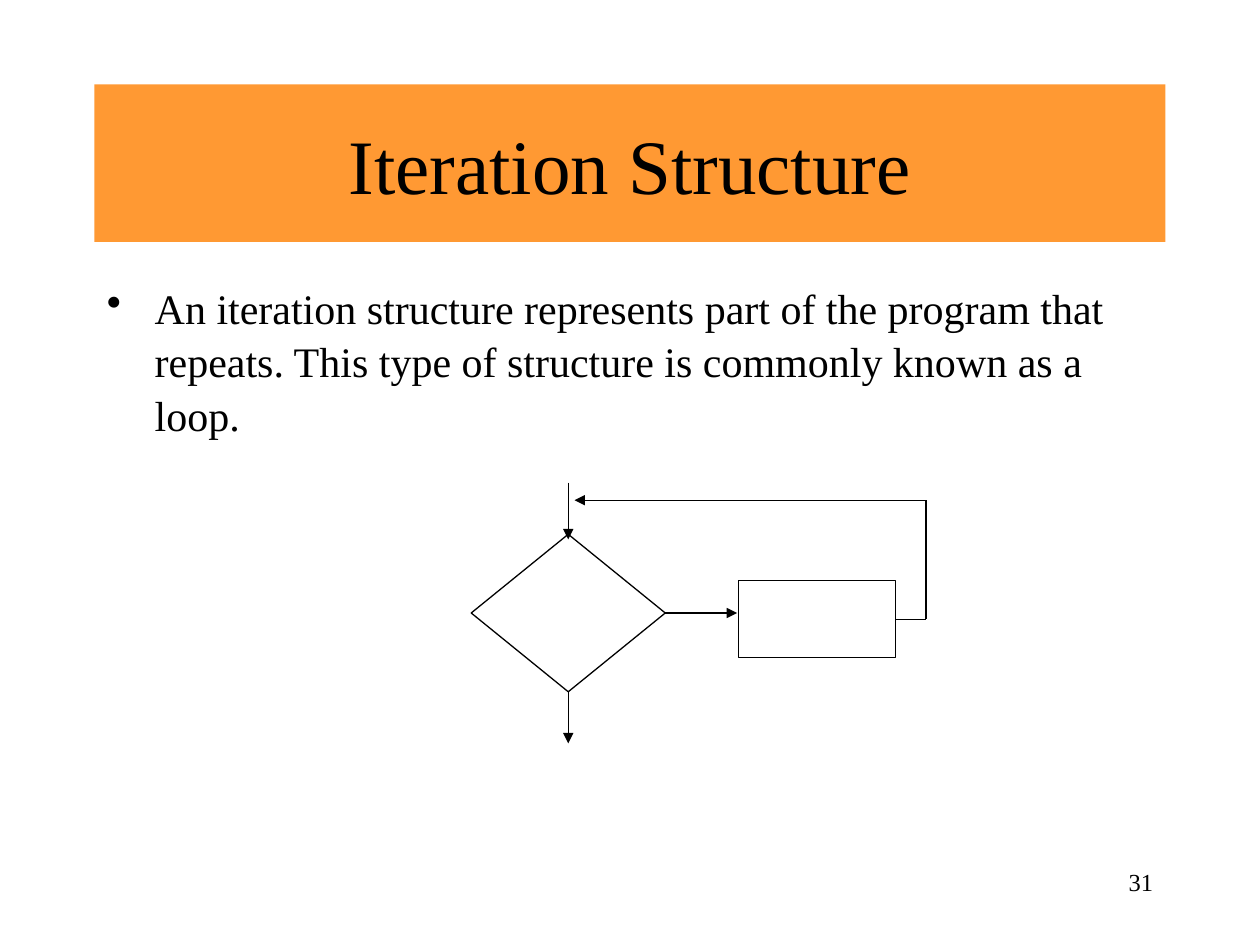
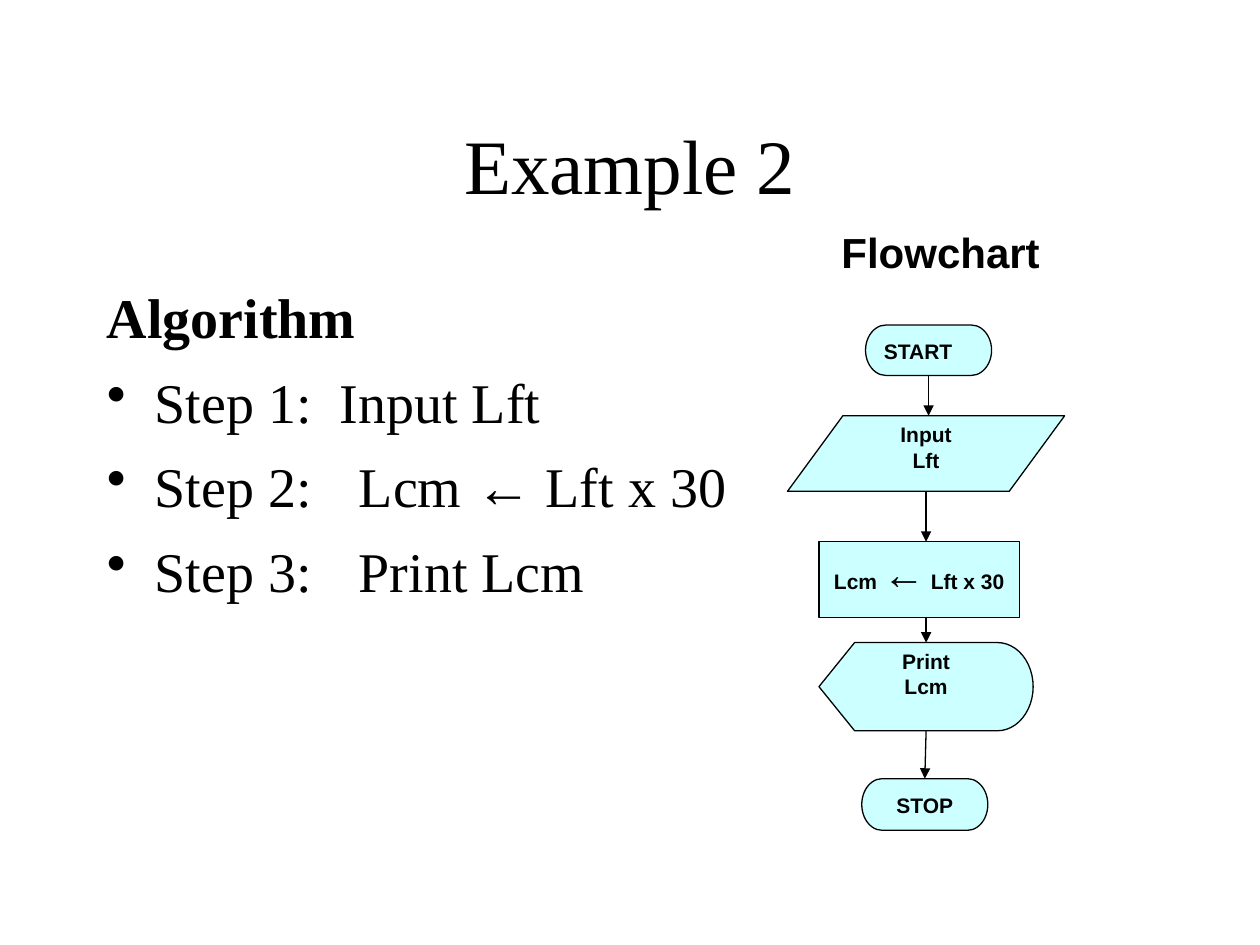
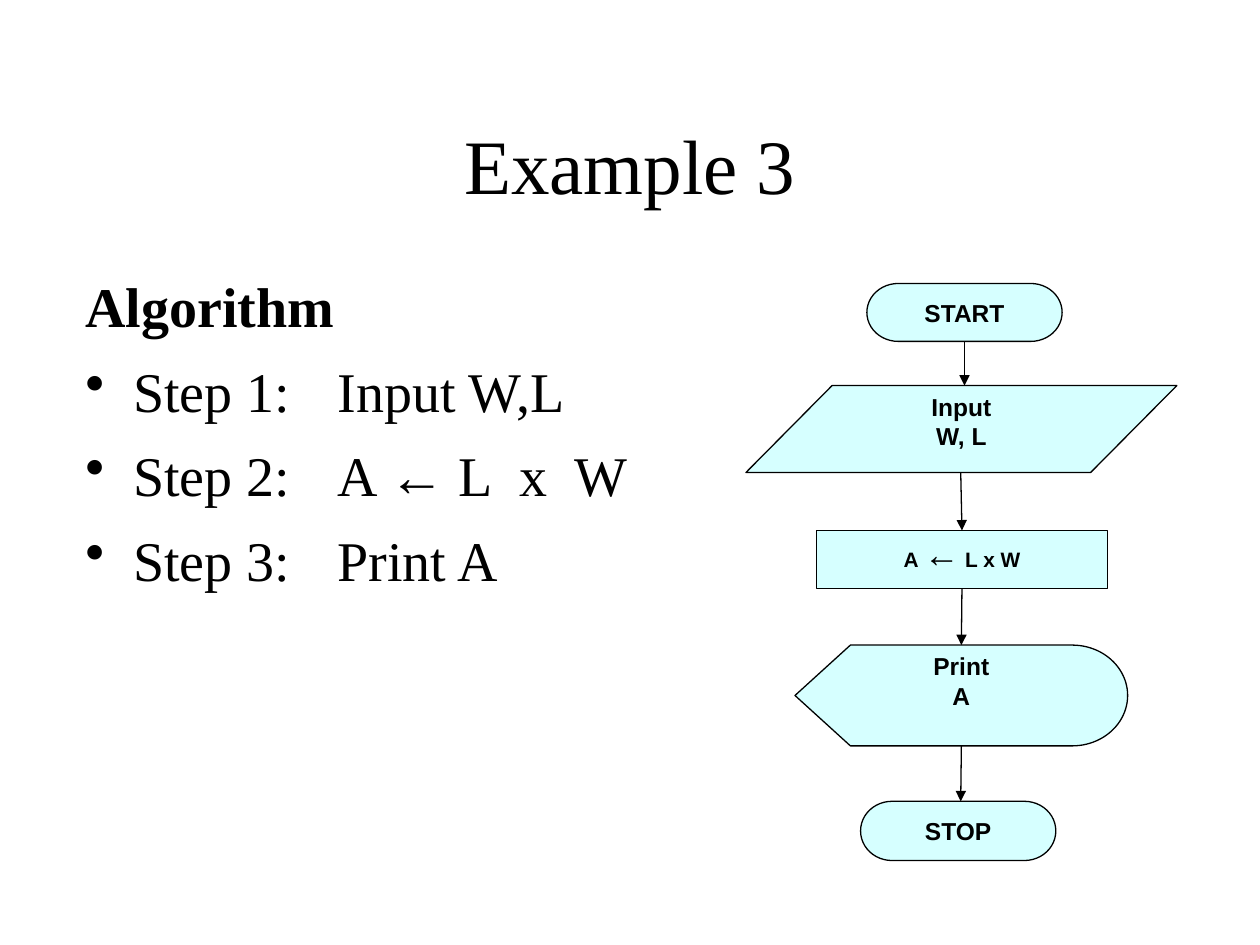
from dataclasses import dataclass, replace

from lxml.etree import SubElement
from pptx import Presentation
from pptx.dml.color import RGBColor
from pptx.enum.shapes import MSO_CONNECTOR, MSO_SHAPE
from pptx.enum.text import MSO_ANCHOR, PP_ALIGN
from pptx.oxml.ns import qn
from pptx.util import Emu, Inches, Pt

COLUMNS, ROWS = 100, 75
TOP, LEFT, BOTTOM, RIGHT = range(4)
SNAP = 0.2  # columns within which a connector counts as centred on a node


@dataclass(frozen=True)
class Style:
    font: str
    size: float
    bold: bool = False


@dataclass(frozen=True)
class Theme:
    ink: RGBColor = RGBColor(0, 0, 0)
    band: RGBColor = RGBColor(0xFF, 0x99, 0x33)
    node: RGBColor = RGBColor(0xCC, 0xFF, 0xFF)
    line_width: float = 0.75
    title: Style = Style("Times New Roman", 44)
    body: Style = Style("Times New Roman", 24)
    step: Style = Style("Times New Roman", 32)
    number: Style = Style("Times New Roman", 14)
    heading: Style = Style("Arial", 24, True)
    label: Style = Style("Arial", 12, True)
    large_label: Style = Style("Arial", 14, True)
    tight_label: Style = Style("Arial", 11.9, True)
    arrow: Style = Style("Arial", 24)
    tight_arrow: Style = Style("Arial", 20.4)


class Page:
    """Draws on the current slide; lengths are columns and rows of the grid."""

    def __init__(self, deck, theme):
        self.deck, self.theme, self.slide = deck, theme, None
        self.column = deck.slide_width / COLUMNS
        self.row = deck.slide_height / ROWS

    def start(self, title, band=False):
        self.slide = self.deck.slides.add_slide(self.deck.slide_layouts[6])
        box = self.text_box((7.5, 6.7, 85, 12.5), [[(title, self.theme.title)]], PP_ALIGN.CENTER)
        box.text_frame.vertical_anchor = MSO_ANCHOR.MIDDLE
        if band:
            box.fill.solid()
            box.fill.fore_color.rgb = self.theme.band

    def place(self, left, top, width, height):
        return (Emu(round(left * self.column)), Emu(round(top * self.row)),
                Emu(round(width * self.column)), Emu(round(height * self.row)))

    def add_lines(self, frame, lines, align):
        """Fill a frame; each line is a list of (text, style) spans."""
        frame.word_wrap = True
        for index, spans in enumerate(lines):
            para = frame.add_paragraph() if index else frame.paragraphs[0]
            para.alignment = align
            for text, style in spans:
                span = para.add_run()
                span.text = text
                span.font.name, span.font.size = style.font, Pt(style.size)
                span.font.bold = style.bold
                span.font.color.rgb = self.theme.ink

    def text_box(self, area, lines, align=PP_ALIGN.LEFT):
        box = self.slide.shapes.add_textbox(*self.place(*area))
        self.add_lines(box.text_frame, lines, align)
        return box

    def body(self, area, lines, plain=0, line_spacing=1.05):
        """Add a hanging list whose first `plain` lines have no bullet."""
        box = self.text_box(area, lines)
        for index, para in enumerate(box.text_frame.paragraphs):
            para.line_spacing = line_spacing
            if index:
                para.space_before = Pt(8)
            properties = para._p.get_or_add_pPr()
            properties.set("marL", str(Inches(0.38)))
            properties.set("indent", str(-Inches(0.38)))
            if index >= plain:
                SubElement(properties, qn("a:buChar"), char="•")
            tabs = SubElement(properties, qn("a:tabLst"))
            SubElement(tabs, qn("a:tab"), pos=str(Inches(2)), algn="l")

    def algorithm(self, area, steps):
        style = self.theme.step
        lines = [[("Algorithm", replace(style, bold=True))]]
        for step in steps:
            before, arrow, after = step.partition("←")
            spans = [(before, style), (arrow, replace(style, font="Arial")), (after, style)]
            lines.append([span for span in spans if span[0]])
        self.body(area, lines, plain=1)

    def node(self, kind, area, lines=(), opacity=None, align=PP_ALIGN.CENTER):
        """Draw an outlined shape, filled only when an opacity is given."""
        shape = self.slide.shapes.add_shape(kind, *self.place(*area))
        shape.shadow.inherit = False
        shape.line.color.rgb = self.theme.ink
        shape.line.width = Pt(self.theme.line_width)
        if opacity is None:
            shape.fill.background()
        else:
            shape.fill.solid()
            shape.fill.fore_color.rgb = self.theme.node
            if opacity < 100:
                color = shape._element.spPr.find(qn("a:solidFill"))[0]
                SubElement(color, qn("a:alpha"), val=str(opacity * 1000))
        shape.text_frame.vertical_anchor = MSO_ANCHOR.TOP
        self.add_lines(shape.text_frame, lines, align)
        return shape

    def connector(self, start, end, begin=None, finish=None, arrow=True):
        """Draw a line; begin and finish are (shape, side) pairs to join."""
        line = self.slide.shapes.add_connector(
            MSO_CONNECTOR.STRAIGHT, *self.place(*start, *end))
        line.line.color.rgb = self.theme.ink
        line.line.width = Pt(self.theme.line_width)
        if begin:
            line.begin_connect(*begin)
        if finish:
            line.end_connect(*finish)
        if arrow:
            SubElement(line.get_or_add_ln(), qn("a:tailEnd"), type="triangle")
        SubElement(line._element.spPr, qn("a:effectLst"))

    def joint(self, shape, side, x):
        """Give the joint at a node's side if it lies on x, else None."""
        centre = (shape.left + shape.width / 2) / self.column
        slanted = shape.auto_shape_type == MSO_SHAPE.FLOWCHART_DATA
        return None if slanted or abs(centre - x) > SNAP else (shape, side)

    def flowchart(self, axis, steps, opacity, first_align=PP_ALIGN.CENTER):
        """Stack START, input, process, display and STOP, linked downwards."""
        kinds = (MSO_SHAPE.FLOWCHART_TERMINATOR, MSO_SHAPE.FLOWCHART_DATA,
                 MSO_SHAPE.FLOWCHART_PROCESS, MSO_SHAPE.FLOWCHART_DISPLAY,
                 MSO_SHAPE.FLOWCHART_TERMINATOR)
        nodes = [
            self.node(kind, area, lines, opacity, PP_ALIGN.CENTER if index else first_align)
            for index, (kind, (area, lines)) in enumerate(zip(kinds, steps))
        ]
        for index, (upper, lower) in enumerate(zip(nodes, nodes[1:])):
            x = axis if index else (upper.left + upper.width / 2) / self.column
            self.connector((x, (upper.top + upper.height) / self.row),
                           (x, lower.top / self.row),
                           self.joint(upper, BOTTOM, x), self.joint(lower, TOP, x))
        return nodes


def labelled(style, *texts):
    return [[(text, style)] for text in texts]


def assignment(target, value, style, arrow):
    return [[(target + " ", style), ("←", arrow), (" " + value, style)]]


def iteration_slide(page):
    page.start("Iteration Structure", band=True)
    page.body((7.5, 21.7, 85, 45), labelled(
        page.theme.body,
        "An iteration structure represents part of the program that repeats. "
        "This type of structure is commonly known as a loop."), line_spacing=1.06)
    page.text_box((71.7, 68.3, 20.8, 5), labelled(page.theme.number, "31"), PP_ALIGN.RIGHT)

    decision = page.node(MSO_SHAPE.FLOWCHART_DECISION, (37.4, 42.4, 15.4, 12.5))
    action = page.node(MSO_SHAPE.RECTANGLE, (58.6, 46.1, 12.5, 6.1))
    centre, middle, back, loop_top = 45.1, 49.15, 73.5, 39.7
    page.connector((centre, 38.3), (centre, 42.8))
    page.connector((centre, 54.9), (centre, 59), begin=(decision, BOTTOM))
    page.connector((52.8, 48.65), (58.5, 48.65), begin=(decision, RIGHT))
    page.connector((71.1, middle), (back, middle), begin=(action, RIGHT), arrow=False)
    page.connector((back, middle), (back, loop_top), arrow=False)
    page.connector((back, loop_top), (45.6, loop_top))


def feet_slide(page):
    theme = page.theme
    page.start("Example 2")
    page.algorithm((7.5, 21.7, 85, 45), (
        "Step 1:  Input Lft", "Step 2: \tLcm ← Lft x 30", "Step 3: \tPrint Lcm"))
    page.text_box((65.8, 17.5, 24.2, 5), labelled(theme.heading, "Flowchart"))
    page.flowchart(73.5, (
        ((68.7, 25.8, 10, 4), labelled(theme.label, "START")),
        ((62.5, 33, 22, 6), labelled(theme.label, "Input", "Lft")),
        ((65, 43, 15.9, 6), assignment("Lcm", "Lft x 30", theme.label, theme.arrow)),
        ((65, 51, 17, 7), labelled(theme.label, "Print", "Lcm")),
        ((68.4, 61.8, 10, 4.1), labelled(theme.label, "STOP")),
    ), opacity=100, first_align=PP_ALIGN.LEFT)


def area_slide(page):
    theme = page.theme
    page.start("Example 3")
    page.algorithm((5.8, 20.8, 90, 42.5), (
        "Step 1: \tInput W,L", "Step 2: \tA ← L  x  W", "Step 3: \tPrint A"))
    nodes = page.flowchart(76.25, (
        ((68.8, 22.5, 15.5, 4.6), labelled(theme.large_label, "START")),
        ((59.2, 30.6, 34.2, 6.9), labelled(theme.large_label, "Input", "W, L")),
        ((64.8, 42.1, 23.1, 4.6), assignment("A", "L x W", theme.tight_label, theme.tight_arrow)),
        ((63.1, 51.2, 26.4, 8), labelled(theme.large_label, "Print", "A")),
        ((68.3, 63.6, 15.5, 4.7), labelled(theme.large_label, "STOP")),
    ), opacity=80)
    nodes[2].text_frame.paragraphs[0].line_spacing = 0.9


def main():
    deck = Presentation()
    deck.slide_width, deck.slide_height = Inches(10), Inches(7.5)
    page = Page(deck, Theme())
    iteration_slide(page)
    feet_slide(page)
    area_slide(page)
    deck.save("out.pptx")


if __name__ == "__main__":
    main()
